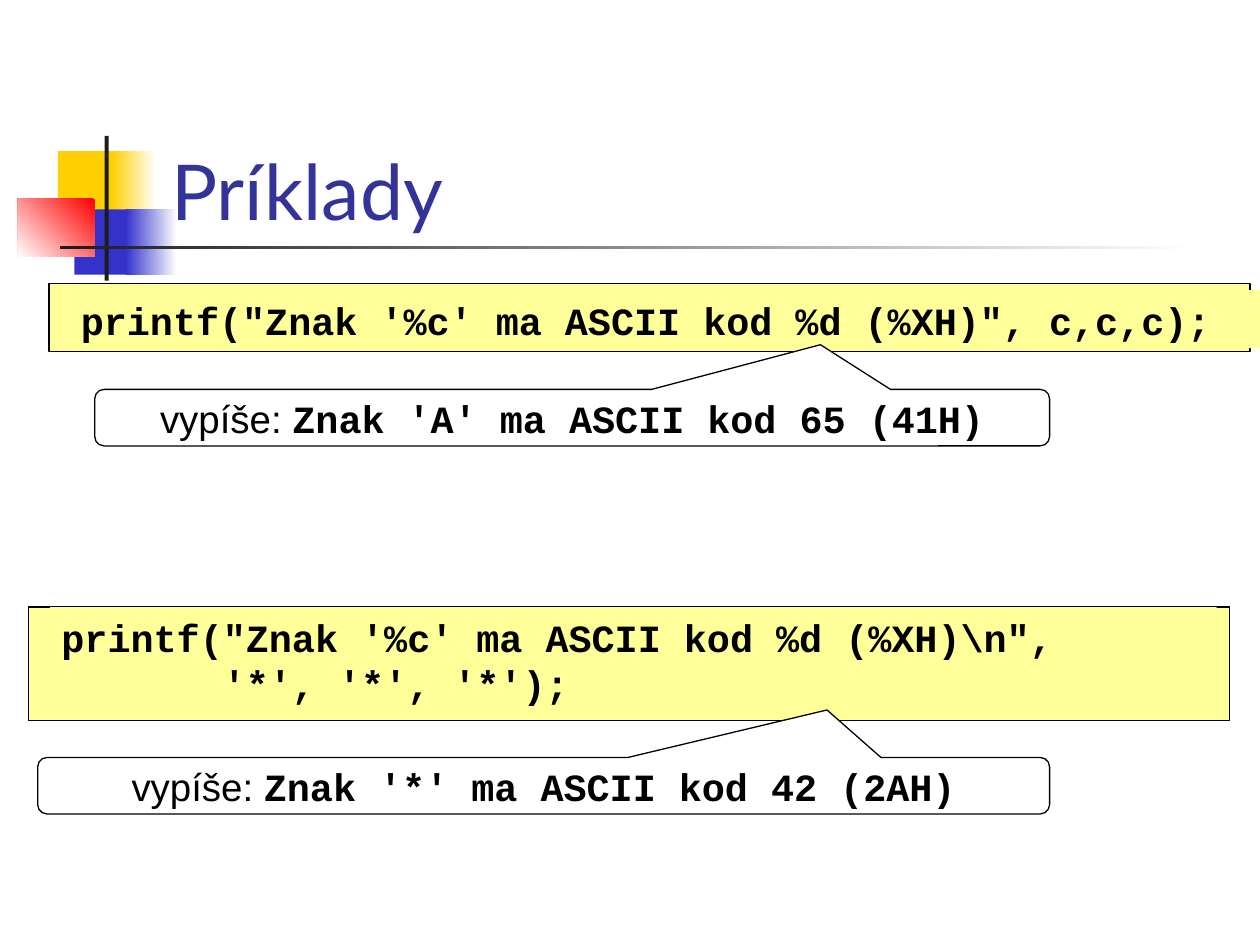
from pptx import Presentation
from pptx import util as u
from pptx.dml import color
from pptx.enum import shapes, text

YELLOW, BLUE, RED = "FFCF01", "3333CC", "FF0000"
DARK, WHITE, BLACK, CODE_FILL = "1C1C1C", "FFFFFF", "000000", "FFFF99"
ARIAL, COURIER = "Arial", "Courier New"


def rgb(value):
    return color.RGBColor.from_string(value)


def add_box(parent, box, fill, line=None, kind=shapes.MSO_SHAPE.RECTANGLE):
    shape = parent.shapes.add_shape(kind, *(u.Cm(length) for length in box))
    shape.shadow.inherit = False
    shape.fill.solid()
    shape.fill.fore_color.rgb = rgb(fill)
    if line:
        shape.line.color.rgb = rgb(line)
        shape.line.width = u.Pt(0.75)
    else:
        shape.line.fill.background()
    return shape


def add_gradient(parent, box, start, end, angle=180):
    shape = add_box(parent, box, start)
    shape.fill.gradient()
    shape.fill.gradient_angle = angle
    for stop, value in zip(shape.fill.gradient_stops, (start, end)):
        stop.color.rgb = rgb(value)


def add_run(paragraph, words, font, size, fill, bold=False):
    run = paragraph.add_run()
    run.text = words
    run.font.name = font
    run.font.size = u.Pt(size)
    run.font.bold = bold
    run.font.color.rgb = rgb(fill)


def write_lines(shape, lines, align, anchor):
    frame = shape.text_frame
    frame.word_wrap = True
    frame.vertical_anchor = anchor
    frame.margin_left = frame.margin_right = u.Cm(0.23)
    frame.margin_top = frame.margin_bottom = u.Cm(0.13)
    for index, runs in enumerate(lines):
        paragraph = frame.add_paragraph() if index else frame.paragraphs[0]
        paragraph.alignment = align
        for words, font, bold in runs:
            add_run(paragraph, words, font, 22, BLACK, bold)


def add_ornament(slide, left, top):
    def place(x, y, width, height):
        return left + x, top + y, width, height

    add_box(slide, place(0.81, 0.31, 1.22, 1.32), YELLOW)
    add_gradient(slide, place(1.88, 0.31, 0.91, 1.32), WHITE, YELLOW)
    add_box(slide, place(1.14, 1.48, 1.17, 1.32), BLUE)
    add_gradient(slide, place(2.18, 1.48, 1.02, 1.32), WHITE, BLUE)
    add_gradient(slide, place(0, 1.27, 1.55, 1.17), RED, WHITE, 225)
    add_box(slide, place(1.75, 0, 0.08, 2.92), DARK)
    add_gradient(slide, place(0.86, 2.21, 22.86, 0.08), WHITE, DARK)


def add_title(slide, box, words):
    title = slide.shapes.title
    title.left, title.top, title.width, title.height = (u.Cm(length) for length in box)
    title.text_frame.vertical_anchor = text.MSO_ANCHOR.BOTTOM
    paragraph = title.text_frame.paragraphs[0]
    paragraph.alignment = text.PP_ALIGN.LEFT
    add_run(paragraph, words, "Lato", 44, "333399")


def add_code(slide, box, panel, lines):
    left, top = box[:2]
    x, y, width, height = panel
    group = slide.shapes.add_group_shape()
    add_box(group, box, CODE_FILL, BLACK)
    shape = add_box(group, (left + x, top + y, width, height), CODE_FILL)
    write_lines(shape, [[(line, COURIER, True)] for line in lines],
                text.PP_ALIGN.LEFT, text.MSO_ANCHOR.TOP)


def add_output(slide, box, tip, words):
    shape = add_box(slide, box, WHITE, BLACK,
                    shapes.MSO_SHAPE.ROUNDED_RECTANGULAR_CALLOUT)
    for index, value in enumerate((*tip, 0.167)):
        shape.adjustments[index] = value
    write_lines(shape, [[("vypíše: ", ARIAL, False), (words, COURIER, True)]],
                text.PP_ALIGN.CENTER, text.MSO_ANCHOR.MIDDLE)


def main():
    presentation = Presentation()
    presentation.slide_width, presentation.slide_height = u.Cm(25.4), u.Cm(19.05)
    slide = presentation.slides.add_slide(presentation.slide_layouts[5])
    add_ornament(slide, 0.36, 2.74)
    add_title(slide, (3.2, 1.7, 21.64, 3.18), "Príklady")
    add_code(slide, (0.99, 5.72, 24.21, 1.37), (0.41, 0.13, 24, 1.17),
             ["printf(\"Znak '%c' ma ASCII kod %d (%XH)\", c,c,c);"])
    add_output(slide, (1.91, 7.85, 19.25, 1.14), (0.26, -1.29),
               "Znak 'A' ma ASCII kod 65 (41H)")
    add_code(slide, (0.58, 12.24, 24.21, 2.29), (0.43, 0, 23.52, 2.08),
             ["printf(\"Znak '%c' ma ASCII kod %d (%XH)\\n\",",
              "       '*', '*', '*');"])
    add_output(slide, (0.76, 15.27, 20.4, 1.14), (0.28, -1.34),
               "Znak '*' ma ASCII kod 42 (2AH)")
    presentation.save("out.pptx")


if __name__ == "__main__":
    main()
